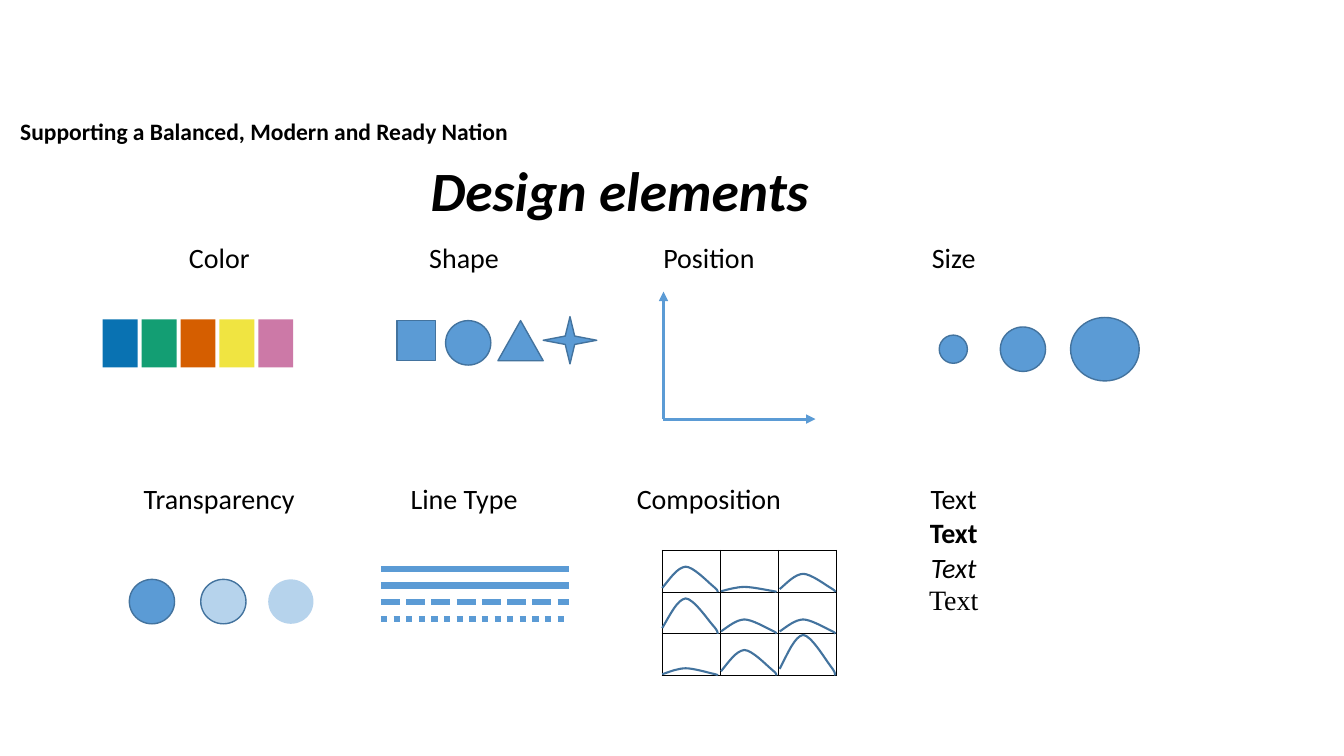
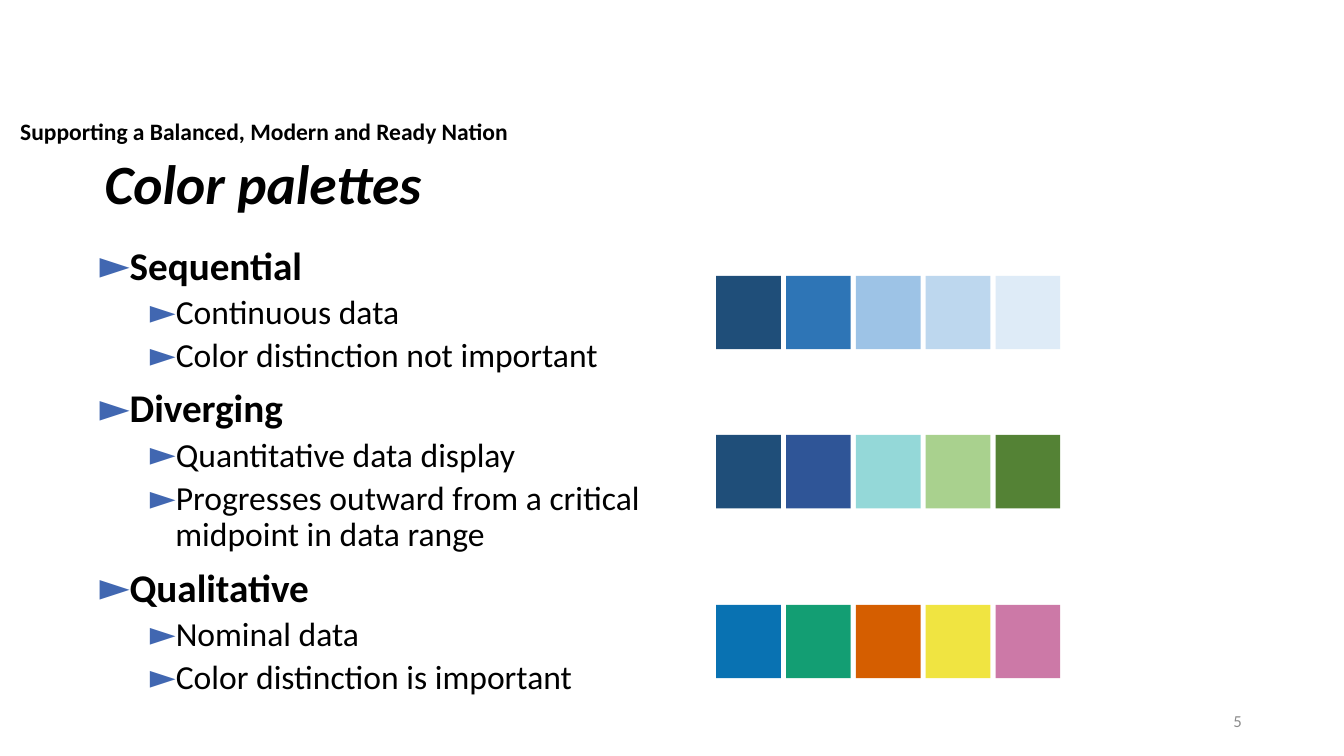
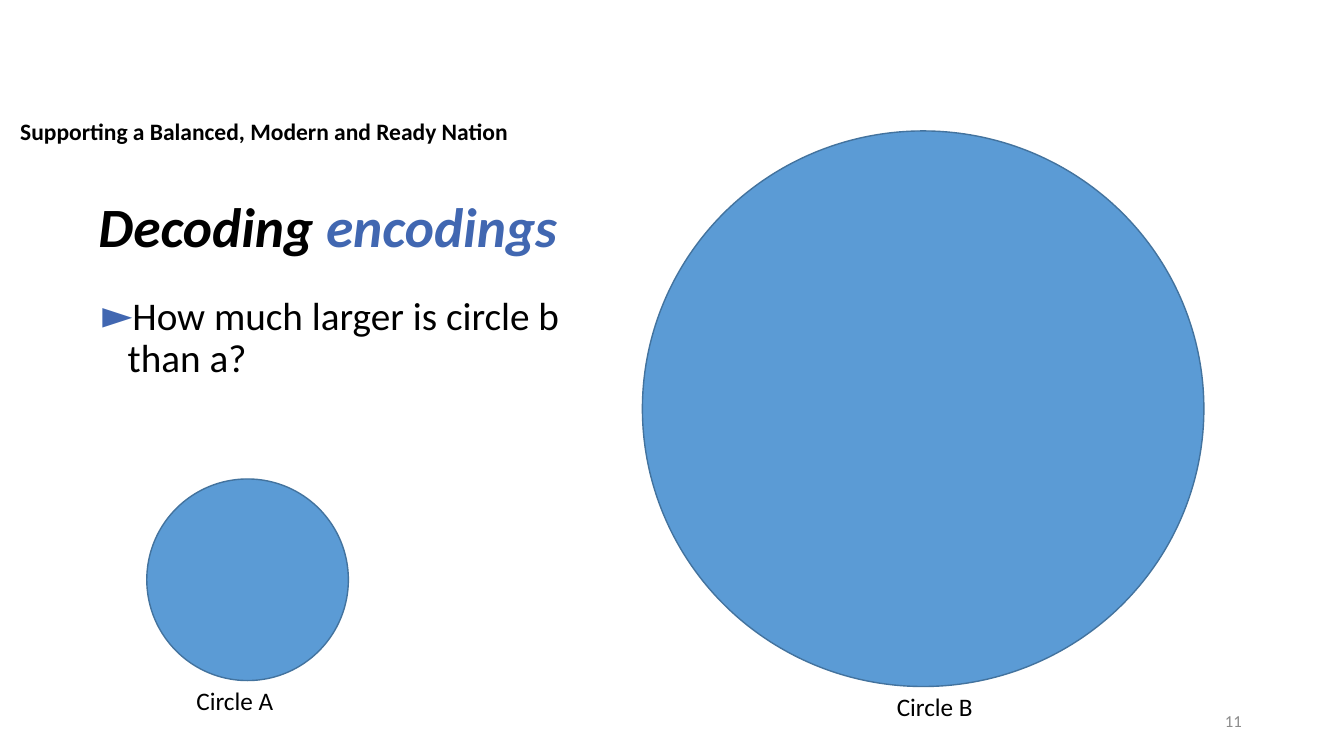
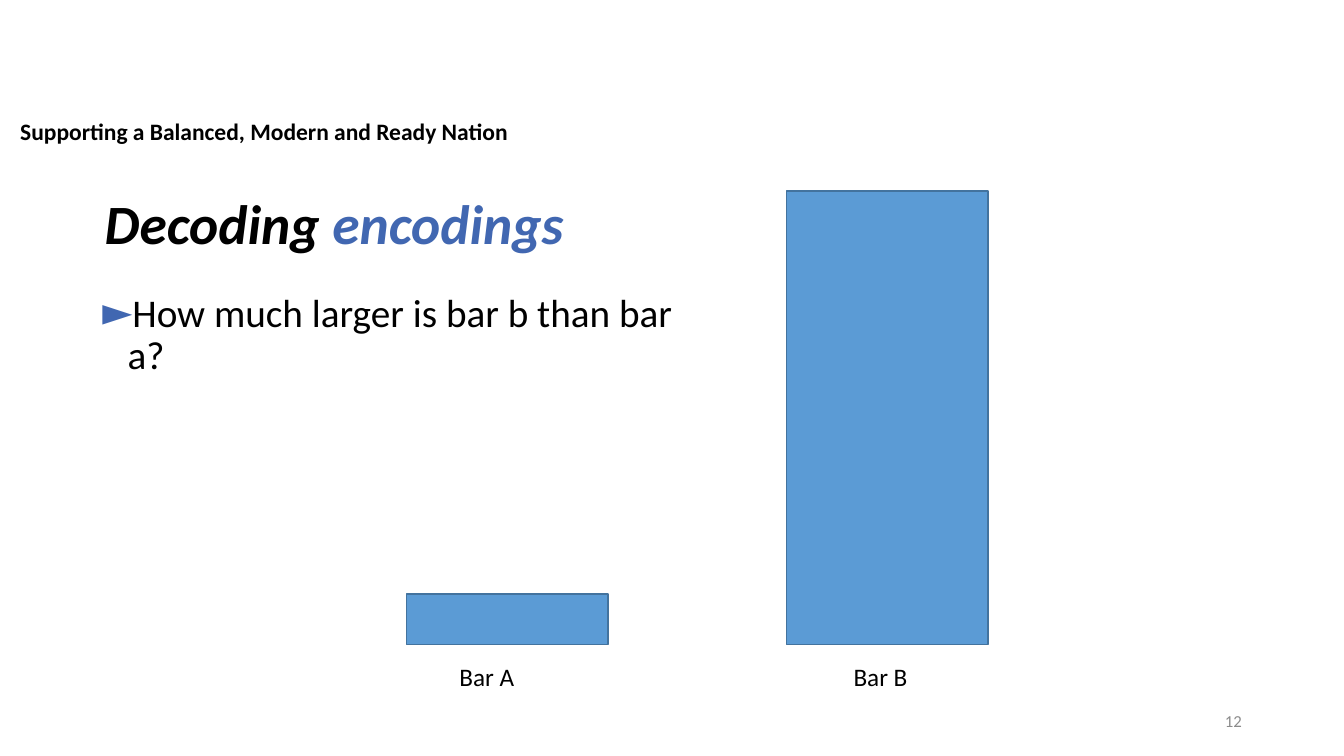
from dataclasses import dataclass
from itertools import product

from lxml.etree import SubElement as Sub
from pptx import Presentation
from pptx.dml.color import RGBColor as Rgb
from pptx.enum.dml import MSO_LINE as Dash
from pptx.enum.shapes import MSO_CONNECTOR as Link, MSO_SHAPE as Form
from pptx.enum.text import MSO_ANCHOR as Anchor, PP_ALIGN as Align
from pptx.oxml.ns import qn
from pptx.util import Cm, Pt


@dataclass(frozen=True)
class Theme:
    font: str = "Calibri"
    serif: str = "Times New Roman"
    black: str = "000000"
    white: str = "FFFFFF"
    gray: str = "8C8C8C"
    accent: str = "4167B1"
    blue: str = "5B9BD5"
    edge: str = "43739E"
    band: float = 16.87
    title: float = 39.6
    head: float = 28
    body: float = 24
    cell: float = 20
    label: float = 18
    foot: float = 12


T = Theme()
SEQ = ("1F4E79", "2E75B6", "9DC3E6", "BDD7EE", "DEEBF7")
DIV = ("1F4E79", "2F5597", "94D8D8", "A9D18E", "548235")
QUAL = ("0972B2", "139E73", "D55E00", "F0E441", "CC79A7")

# Start, then three points for each cubic, in a unit square with y down
BELL = ((0, 0.84),
        (0.15, 0.44), (0.27, 0.04), (0.42, 0),
        (0.56, 0), (0.82, 0.6), (0.91, 0.76),
        (1, 0.92), (1, 0.96), (1, 1))
PEAKS = ((0.64, 0.13, 0.46), (0.89, 0.36, 0.36), (0.18, 0.64, 1.02))


def cms(*nums):
    return [Cm(n) for n in nums]


def style(run, size, color=T.black, bold=False, slant=False, font=T.font):
    face = run.font
    face.name, face.size = font, Pt(size)
    face.bold, face.italic = bold, slant
    face.color.rgb = Rgb.from_string(color)


def add_box(slide, box, anchor=Anchor.TOP):
    frame = slide.shapes.add_textbox(*cms(*box)).text_frame
    frame.word_wrap = True
    frame.vertical_anchor = anchor
    return frame


def add_line(slide, box, text, size, color=T.black, anchor=Anchor.TOP,
             align=Align.LEFT, bold=False):
    frame = add_box(slide, box, anchor)
    frame.text = text
    para = frame.paragraphs[0]
    para.alignment = align
    style(para.runs[0], size, color, bold)
    return frame


def add_band(slide):
    frame = add_line(slide, (0.41, 2.84, 12.67, 0.91),
                     "Supporting a Balanced, Modern and Ready Nation",
                     T.band, anchor=Anchor.MIDDLE, bold=True)
    frame.word_wrap = False
    frame.margin_left = frame.margin_right = Cm(0.1)
    frame.margin_top = frame.margin_bottom = Cm(0.1)


def add_title(slide, left, top, lead, accent=""):
    frame = add_box(slide, (left, top, 29.21, 1.88), Anchor.MIDDLE)
    frame.text = lead
    para = frame.paragraphs[0]
    para.line_spacing = 0.9
    style(para.runs[0], T.title, bold=True, slant=True)
    if accent:
        run = para.add_run()
        run.text = accent
        style(run, T.title, T.accent, bold=True, slant=True)


def add_page(slide, num):
    add_line(slide, (23.93, 17.65, 7.62, 1.02), str(num), T.foot, T.gray,
             Anchor.MIDDLE, Align.RIGHT)


def add_list(slide, box, items):
    """Each item is (level, text, bold)."""
    frame = add_box(slide, box)
    frame.text = "\n".join(text for _, text, _ in items)
    for num, (para, (level, _, bold)) in enumerate(zip(frame.paragraphs, items)):
        para.level = level
        para.line_spacing = 0.9
        if num:
            para.space_before = Pt(5 if level else 10)
        props = para._p.get_or_add_pPr()
        props.set("marL", str(Cm(0.64 + 1.27 * level)))
        props.set("indent", str(-Cm(0.64)))
        Sub(Sub(props, qn("a:buClr")), qn("a:srgbClr"), val=T.accent)
        Sub(props, qn("a:buFont"), typeface=T.font)
        Sub(props, qn("a:buChar"), char="►")
        style(para.runs[0], T.body if level else T.head, bold=bold)


def add_form(slide, kind, box, fill=T.blue, edge=T.edge, alpha=None):
    shape = slide.shapes.add_shape(kind, *cms(*box))
    shape.shadow.inherit = False
    shape.fill.solid()
    shape.fill.fore_color.rgb = Rgb.from_string(fill)
    if alpha:
        tone = shape._element.spPr.find(qn("a:solidFill"))[0]
        Sub(tone, qn("a:alpha"), val=str(alpha * 1000))
    if edge:
        shape.line.color.rgb = Rgb.from_string(edge)
        shape.line.width = Pt(1)
    else:
        shape.line.fill.background()


def add_swatch(slide, left, top, wide, high, step, tones):
    for num, tone in enumerate(tones):
        add_form(slide, Form.RECTANGLE, (left + num * step, top, wide, high),
                 tone, None)


def add_rule(slide, ends, width, dash=None, arrow=False):
    rule = slide.shapes.add_connector(Link.STRAIGHT, *cms(*ends))
    rule.line.color.rgb = Rgb.from_string(T.blue)
    rule.line.width = Pt(width)
    if dash:
        rule.line.dash_style = dash
    if arrow:
        Sub(rule.line._get_or_add_ln(), qn("a:tailEnd"), type="triangle")
    Sub(rule._element.spPr, qn("a:effectLst"))


def add_grid(slide, left, top, wide, highs, cols):
    """Add a plain white table with equal columns."""
    size = (left, top, wide * cols, sum(highs))
    table = slide.shapes.add_table(len(highs), cols, *cms(*size)).table
    table.first_row = table.horz_banding = False
    for col in table.columns:
        col.width = Cm(wide)
    for row, high in zip(table.rows, highs):
        row.height = Cm(high)
    for cell in table.iter_cells():
        cell.fill.solid()
        cell.fill.fore_color.rgb = Rgb.from_string(T.white)
    return table


def add_edges(cell):
    props = cell._tc.get_or_add_tcPr()
    for num, side in enumerate(("lnL", "lnR", "lnT", "lnB")):
        line = props.makeelement(qn("a:" + side), {"w": str(Pt(1))})
        Sub(Sub(line, qn("a:solidFill")), qn("a:srgbClr"), val=T.black)
        props.insert(num, line)


def bend(shape):
    """Turn each three straight segments into one cubic curve."""
    route = next(shape._element.iter(qn("a:path")))
    legs = route.findall(qn("a:lnTo"))
    for num in range(0, len(legs), 3):
        curve = Sub(route, qn("a:cubicBezTo"))
        for leg in legs[num:num + 3]:
            curve.append(leg[0])
            route.remove(leg)


def add_bell(slide, left, base, wide, high):
    spots = [cms(left + x * wide, base - (1 - y) * high) for x, y in BELL]
    pen = slide.shapes.build_freeform(*spots[0])
    pen.add_line_segments(spots[1:], close=False)
    curve = pen.convert_to_shape()
    bend(curve)
    curve.shadow.inherit = False
    curve.fill.background()
    curve.line.color.rgb = Rgb.from_string(T.edge)
    curve.line.width = Pt(1.5)


def add_bells(slide):
    left, top, wide, high = 16.69, 13.87, 4.4 / 3, 1.05
    table = add_grid(slide, left, top, wide, [high] * 3, 3)
    for cell in table.iter_cells():
        add_edges(cell)
    for row, col in product(range(3), repeat=2):
        add_bell(slide, left + col * 1.48, top + (row + 1) * high, 1.4,
                 PEAKS[row][col])


def add_names(slide):
    names = ("Color", "Shape", "Position", "Size", "Transparency",
             "Line Type", "Composition", "\n".join(["Text"] * 4))
    table = add_grid(slide, 2.44, 5.97, 6.17, (6.07, 5.79), 4)
    for cell, name in zip(table.iter_cells(), names):
        cell.text_frame.text = name
        looks = ({}, {"bold": True}, {"slant": True}, {"font": T.serif})
        for para, look in zip(cell.text_frame.paragraphs, looks):
            para.alignment = Align.CENTER
            style(para.runs[0], T.cell, **look)


def draw_parts(slide):
    add_title(slide, 10.6, 3.95, "Design elements")
    add_names(slide)
    add_swatch(slide, 2.59, 8.05, 0.88, 1.21, 0.98, QUAL)

    for kind, *box in ((Form.RECTANGLE, 10.01, 8.08, 0.97, 1),
                       (Form.OVAL, 11.23, 8.08, 1.14, 1.12),
                       (Form.ISOSCELES_TRIANGLE, 12.55, 8.08, 1.14, 1.01),
                       (Form.STAR_4_POINT, 13.69, 7.98, 1.35, 1.19)):
        add_form(slide, kind, box)

    for end in ((16.72, 7.35), (20.55, 10.56)):
        add_rule(slide, (16.72, 10.56, *end), 2.25, arrow=True)

    mid = 8.8
    for left, wide, high in ((23.67, 0.71, 0.71), (25.21, 1.14, 1.12),
                             (26.98, 1.73, 1.6)):
        add_form(slide, Form.OVAL, (left, mid - high / 2, wide, high))

    for left, edge, alpha in ((3.26, T.edge, None), (5.06, T.edge, 44),
                              (6.76, None, 44)):
        add_form(slide, Form.OVAL, (left, 14.6, 1.14, 1.12), edge=edge,
                 alpha=alpha)

    for num, dash in enumerate((None, None, Dash.SQUARE_DOT, Dash.ROUND_DOT)):
        high = 14.33 + num * 0.42
        add_rule(slide, (9.6, high, 14.33, high), 4.5, dash)
    add_bells(slide)


def draw_tones(slide):
    add_title(slide, 2.39, 3.76, "Color palettes")
    add_list(slide, (2.26, 6.08, 16.79, 12.09), (
        (0, "Sequential", True),
        (1, "Continuous data", False),
        (1, "Color distinction not important", False),
        (0, "Diverging", True),
        (1, "Quantitative data display", False),
        (1, "Progresses outward from a critical midpoint in data range", False),
        (0, "Qualitative", True),
        (1, "Nominal data", False),
        (1, "Color distinction is important", False),
    ))
    for top, tones in ((6.95, SEQ), (10.96, DIV), (15.24, QUAL)):
        add_swatch(slide, 18.05, top, 1.63, 1.85, 1.76, tones)
    add_page(slide, 5)


def draw_quiz(slide, spot, ask, box, kind, marks, page):
    """Ask how two marks compare; each mark is (box, label, left, top)."""
    add_title(slide, *spot, "Decoding ", "encodings")
    add_list(slide, box, ((0, ask, False),))
    for area, label, left, top in marks:
        add_form(slide, kind, area)
        add_line(slide, (left, top, 5.59, 1.07), label, T.label)
    add_page(slide, page)


def main():
    deck = Presentation()
    deck.slide_width, deck.slide_height = cms(33.87, 19.05)
    slides = [deck.slides.add_slide(deck.slide_layouts[6]) for _ in range(4)]
    for slide in slides:
        add_band(slide)
    parts, tones, rounds, bars = slides

    draw_parts(parts)
    draw_tones(tones)
    draw_quiz(rounds, (2.23, 4.85), "How much larger is circle b than a?",
              (2.33, 7.34, 12.52, 5.54), Form.FLOWCHART_CONNECTOR,
              (((3.7, 12.07, 5.08, 5.08), "Circle A", 4.7, 17.15),
               ((16.19, 3.3, 14.15, 14), "Circle B", 22.35, 17.3)), 11)
    draw_quiz(bars, (2.39, 4.76), "How much larger is bar b than bar a?",
              (2.33, 7.27, 15.54, 5.54), Form.RECTANGLE,
              (((10.24, 14.97, 5.08, 1.27), "Bar A", 11.33, 16.53),
               ((19.82, 4.81, 5.08, 11.43), "Bar B", 21.26, 16.53)), 12)
    deck.save("out.pptx")


if __name__ == "__main__":
    main()
